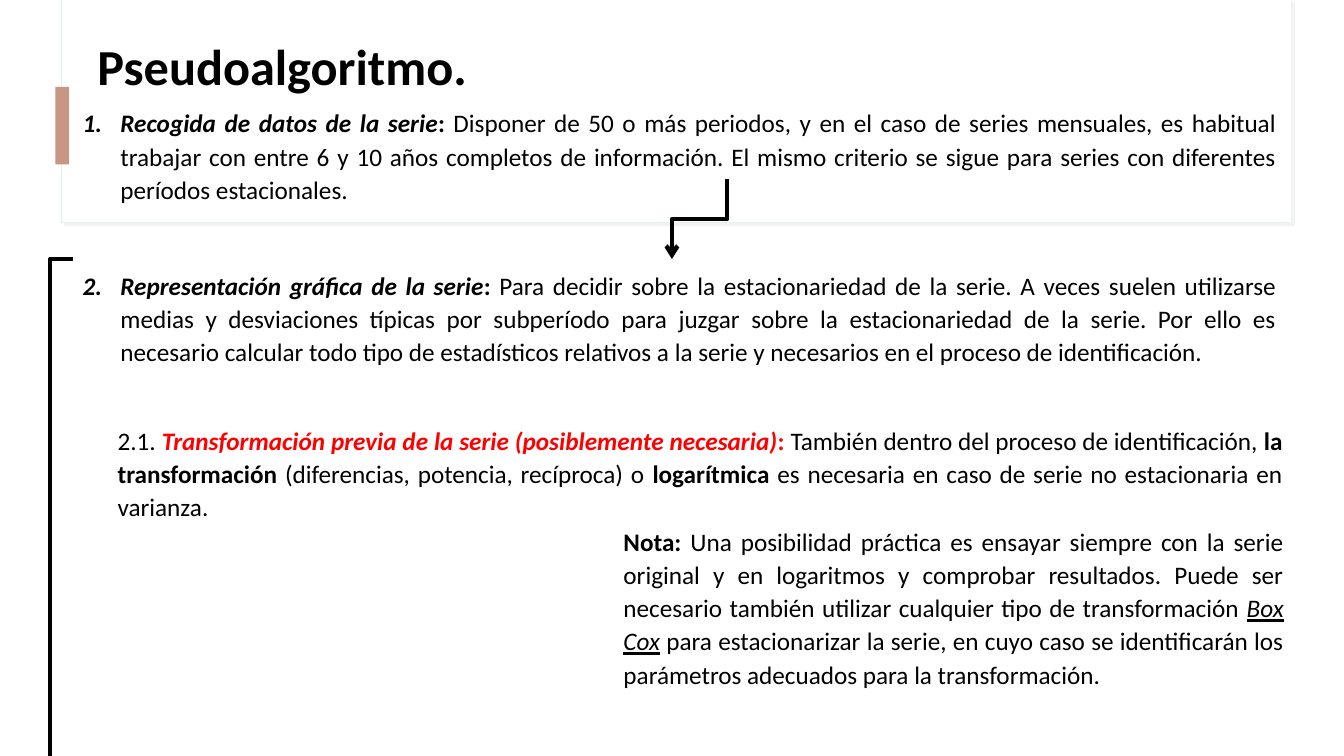
from collections import namedtuple
from dataclasses import dataclass

from lxml import etree
from pptx import Presentation
from pptx.dml.color import RGBColor
from pptx.enum import shapes, text
from pptx.oxml import ns
from pptx.util import Pt

Box = namedtuple("Box", "left top width height")


@dataclass(frozen=True)
class Theme:
    """Colours and type sizes of the slide."""
    font: str = "Calibri"
    title_size: float = 36
    body_size: float = 18
    ink: str = "000000"
    alert: str = "FF0000"
    paper: str = "FFFFFF"
    edge: str = "E4F0EF"
    shadow: str = "D9D9D9"
    accent: str = "C79784"


THEME = Theme()


def color(value):
    """Turn a hex value into a colour."""
    return RGBColor.from_string(value)


def child(parent, tag, **attributes):
    """Add a DrawingML element to a parent."""
    return etree.SubElement(parent, ns.qn(tag), attributes)


def add_rectangle(slide, box, fill):
    """Add a plain filled rectangle."""
    shape = slide.shapes.add_shape(shapes.MSO_SHAPE.RECTANGLE, *map(Pt, box))
    shape.shadow.inherit = False
    shape.fill.solid()
    shape.fill.fore_color.rgb = color(fill)
    shape.line.fill.background()
    return shape


def add_text_box(slide, box, anchor=text.MSO_ANCHOR.TOP):
    """Add a wrapping text box and return its text frame."""
    frame = slide.shapes.add_textbox(*map(Pt, box)).text_frame
    frame.word_wrap = True
    frame.vertical_anchor = anchor
    return frame


def write_runs(paragraph, runs, size=THEME.body_size):
    """Write (text, style letters, colour) runs into a paragraph."""
    for words, style, ink in runs:
        run = paragraph.add_run()
        run.text = words
        font = run.font
        font.name, font.size = THEME.font, Pt(size)
        font.color.rgb = color(ink)
        font.bold, font.italic, font.underline = ("b" in style, "i" in style, "u" in style)


def justify(paragraph, space_before=0):
    """Give a body paragraph its alignment and spacing."""
    paragraph.alignment = text.PP_ALIGN.JUSTIFY
    paragraph.line_spacing = 1.1
    paragraph.space_before = Pt(space_before)


def number(paragraph, start, indent=27):
    """Give a paragraph a hanging automatic number."""
    properties = paragraph._p.get_or_add_pPr()
    properties.set("marL", str(Pt(indent)))
    properties.set("indent", str(-Pt(indent)))
    child(child(properties, "a:buClr"), "a:srgbClr", val=THEME.ink)
    child(properties, "a:buFont", typeface=THEME.font)
    child(properties, "a:buAutoNum", type="arabicPeriod", startAt=str(start))


def add_panel(slide, box):
    """Draw the shadowed header panel and its accent tab."""
    panel = add_rectangle(slide, box, THEME.paper)
    panel.line.color.rgb = color(THEME.edge)
    panel.line.width = Pt(0.75)
    effects = panel._element.spPr.find(ns.qn("a:effectLst"))
    shadow = child(effects, "a:outerShdw", dist=str(Pt(3)), dir="2700000", algn="tl", rotWithShape="0")
    child(child(shadow, "a:srgbClr", val=THEME.shadow), "a:alpha", val="30000")
    inner = Box(box.left + 0.5, box.top, box.width - 0.5, box.height - 0.5)
    add_rectangle(slide, inner, THEME.paper)
    add_rectangle(slide, Box(box.left - 4.5, box.top + 62, 10, 55.5), THEME.accent)


def add_title(slide, box, words):
    """Write the slide title."""
    paragraph = add_text_box(slide, box, text.MSO_ANCHOR.MIDDLE).paragraphs[0]
    paragraph.line_spacing = 0.9
    write_runs(paragraph, [(words, "b", THEME.ink)], THEME.title_size)


def add_steps(slide, box, steps):
    """Write the numbered steps, each a heading and its explanation."""
    frame = add_text_box(slide, box)
    for index, (heading, words) in enumerate(steps):
        paragraph = frame.add_paragraph() if index else frame.paragraphs[0]
        justify(paragraph, 44.5 if index else 0)
        number(paragraph, index + 1)
        write_runs(paragraph, [(heading, "bi", THEME.ink), (":", "b", THEME.ink), (" " + words, "", THEME.ink)])


def add_passage(slide, box, runs):
    """Write one justified passage."""
    paragraph = add_text_box(slide, box).paragraphs[0]
    justify(paragraph)
    write_runs(paragraph, runs)


def style_stroke(line):
    """Give a line the heavy black stroke."""
    line.color.rgb = color(THEME.ink)
    line.width = Pt(3)


def add_step_arrow(slide, box):
    """Draw the elbow arrow from the top right to the bottom left of a box."""
    left = box.left + (box.width - box.height) / 2
    top = box.top + (box.height - box.width) / 2
    arrow = slide.shapes.add_connector(
        shapes.MSO_CONNECTOR.ELBOW, Pt(left), Pt(top), Pt(left + box.height), Pt(top + box.width))
    arrow._element.spPr.find(ns.qn("a:xfrm")).set("rot", "5400000")
    style_stroke(arrow.line)
    child(arrow.line._get_or_add_ln(), "a:tailEnd", type="arrow")
    child(arrow._element.spPr, "a:effectLst")


def add_bracket(slide, box):
    """Draw the line along the top and left sides of a box."""
    builder = slide.shapes.build_freeform(Pt(box.left + box.width), Pt(box.top))
    corners = [(Pt(box.left), Pt(box.top)), (Pt(box.left), Pt(box.top + box.height))]
    builder.add_line_segments(corners, close=False)
    bracket = builder.convert_to_shape()
    bracket.shadow.inherit = False
    bracket.fill.background()
    style_stroke(bracket.line)


def build_slide(presentation):
    """Build the pseudo-algorithm slide."""
    slide = presentation.slides.add_slide(presentation.slide_layouts[6])
    add_panel(slide, Box(44, 0, 879, 159))
    add_title(slide, Box(62.5, 3, 358, 93), "Pseudoalgoritmo.")
    add_steps(slide, Box(52, 71.3, 867.5, 227), [
        ("Recogida de datos de la serie",
         "Disponer de 50 o más periodos, y en el caso de series mensuales, es habitual trabajar "
         "con entre 6 y 10 años completos de información. El mismo criterio se sigue para series "
         "con diferentes períodos estacionales."),
        ("Representación gráfica de la serie",
         "Para decidir sobre la estacionariedad de la serie. A veces suelen utilizarse medias y "
         "desviaciones típicas por subperíodo para juzgar sobre la estacionariedad de la serie. "
         "Por ello es necesario calcular todo tipo de estadísticos relativos a la serie y "
         "necesarios en el proceso de identificación."),
    ])
    add_passage(slide, Box(77, 298, 846.7, 86), [
        ("2.1. ", "", THEME.ink),
        ("Transformación previa de la serie (posiblemente necesaria)", "bi", THEME.alert),
        (":", "b", THEME.alert),
        (" También dentro del proceso de identificación, ", "", THEME.ink),
        ("la transformación", "b", THEME.ink),
        (" (diferencias, potencia, recíproca) o ", "", THEME.ink),
        ("logarítmica", "b", THEME.ink),
        (" es necesaria en caso de serie no estacionaria en varianza.", "", THEME.ink),
    ])
    add_passage(slide, Box(438.5, 370, 486, 150), [
        ("Nota:", "b", THEME.ink),
        (" Una posibilidad práctica es ensayar siempre con la serie original y en logaritmos y "
         "comprobar resultados. Puede ser necesario también utilizar cualquier tipo de "
         "transformación ", "", THEME.ink),
        ("Box Cox", "iu", THEME.ink),
        (" para estacionarizar la serie, en cuyo caso se identificarán los parámetros adecuados "
         "para la transformación.", "", THEME.ink),
    ])
    add_step_arrow(slide, Box(480.2, 128.2, 39.6, 56.8))
    add_bracket(slide, Box(36, 185, 16, 355))


def main():
    """Create and save the presentation."""
    presentation = Presentation()
    presentation.slide_width, presentation.slide_height = Pt(960.5), Pt(540)
    build_slide(presentation)
    presentation.save("out.pptx")


if __name__ == "__main__":
    main()
